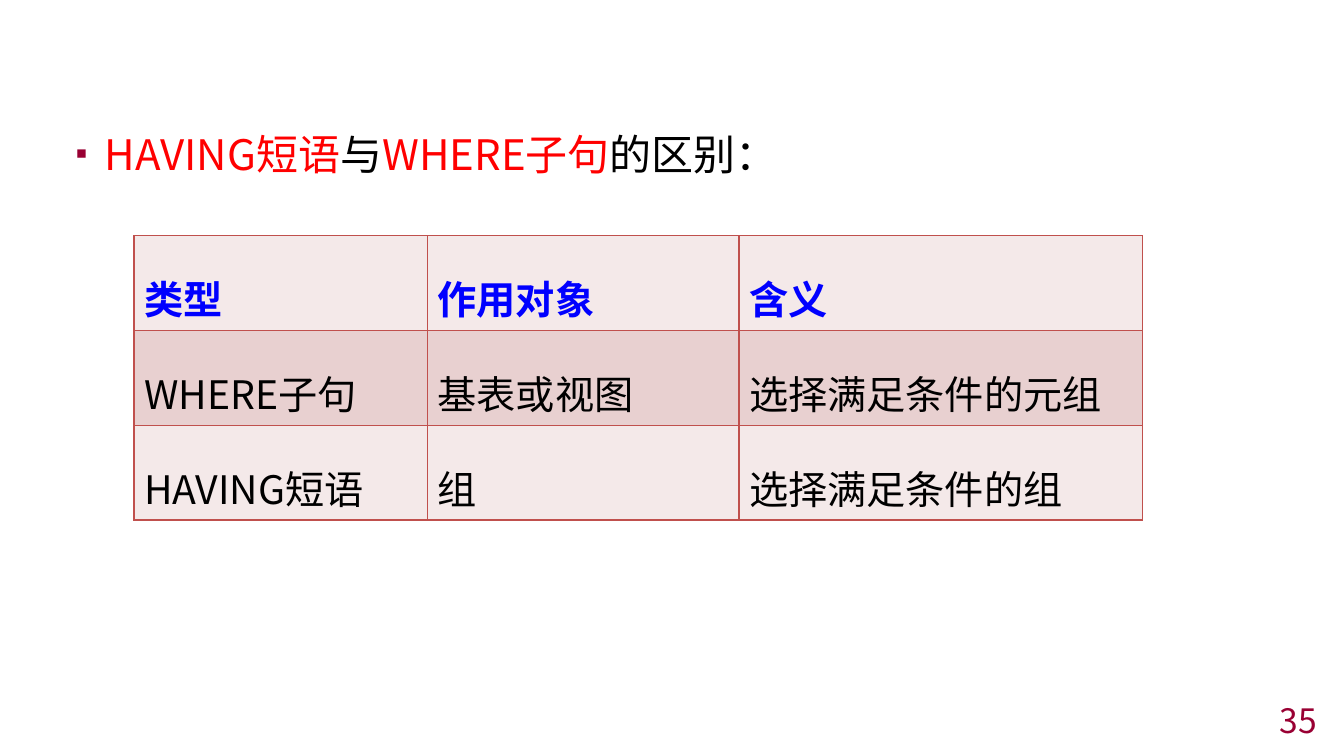
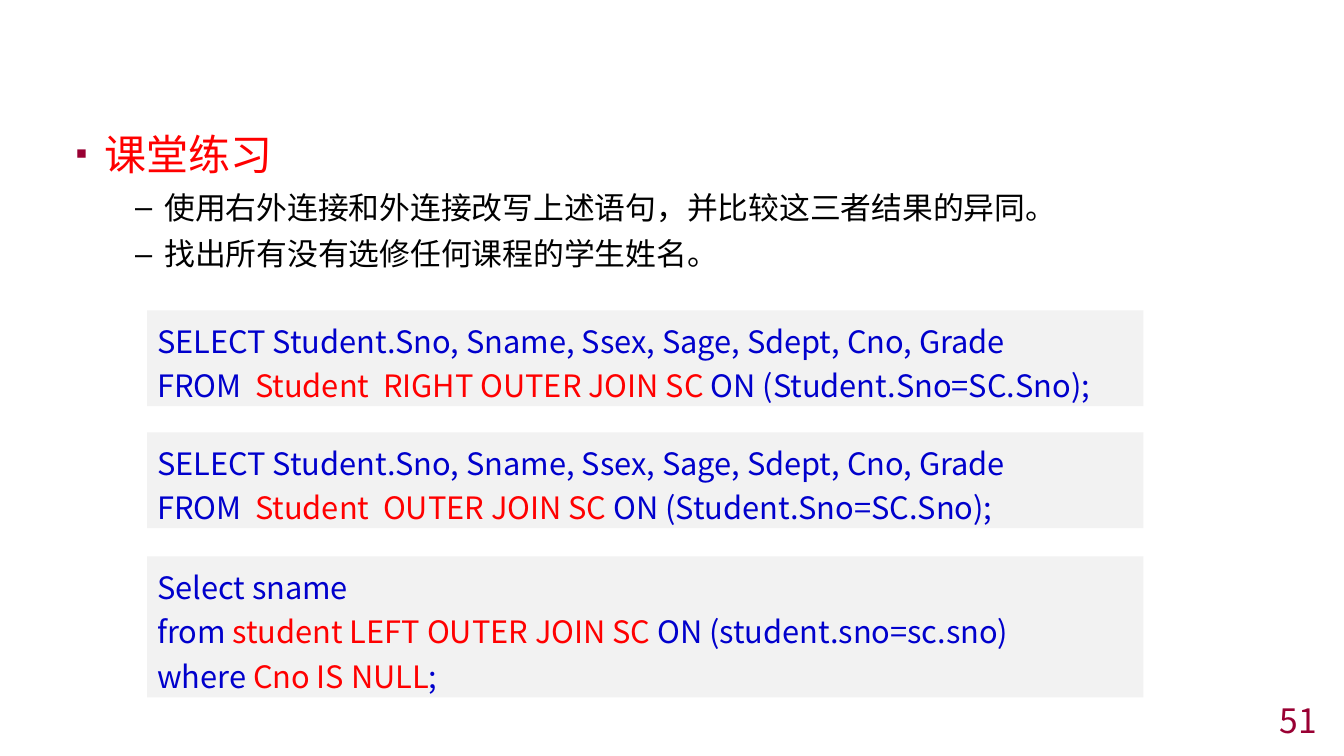
from lxml import etree
from pptx import Presentation
from pptx.dml.color import RGBColor
from pptx.enum.shapes import MSO_SHAPE
from pptx.enum.text import MSO_ANCHOR, MSO_AUTO_SIZE, PP_ALIGN
from pptx.oxml import parse_xml
from pptx.oxml.ns import nsdecls, qn
from pptx.util import Inches, Pt

# Shared style
FONT = "Noto Sans CJK SC"
BLACK, RED, MAROON = "000000", "FF0000", "990033"
HEADER_BLUE, CODE_BLUE, CODE_FILL = "0000FF", "0000CC", "F2F2F2"
ROW_FILLS, BORDER = ["F4E9E9", "E8D0D0"], "C0504D"
# Per level: left indent, size, space before, bullet XML
LEVELS = [
    (0.29, 30, 0, [f'<a:buClr {nsdecls("a")}><a:srgbClr val="{MAROON}"/></a:buClr>',
                   f'<a:buSzPct {nsdecls("a")} val="80000"/>',
                   f'<a:buChar {nsdecls("a")} char="▪"/>']),
    (0.88, 22, 4.4, [f'<a:buChar {nsdecls("a")} char="–"/>']),
]


def color(value):
    return RGBColor.from_string(value)


def write(paragraph, runs, size, bold=False):
    """Fill a paragraph with (text, colour) runs in the shared font."""
    font = paragraph.font
    font.name, font.size, font.bold = FONT, Pt(size), bold
    font.color.rgb = color(runs[0][1])
    for text, value in runs:
        run = paragraph.add_run()
        run.text = text
        run.font.name = FONT
        run.font.color.rgb = color(value)
        latin = run.font._element.find(qn("a:latin"))
        latin.addnext(parse_xml(f'<a:ea {nsdecls("a")} typeface="{FONT}"/>'))


presentation = Presentation()
presentation.slide_width, presentation.slide_height = Inches(13.33), Inches(7.5)

# Bulleted text of each slide: number, then (level, runs)
slide_texts = [
    ("35", [(0, [("HAVING短语", RED), ("与", BLACK), ("WHERE子句", RED), ("的区别：", BLACK)])]),
    ("51", [(0, [("课堂练习", RED)]),
            (1, [("使用右外连接和外连接改写上述语句，并比较这三者结果的异同。", BLACK)]),
            (1, [("找出所有没有选修任何课程的学生姓名。", BLACK)])]),
]
slides = []
for number, lines in slide_texts:
    slide = presentation.slides.add_slide(presentation.slide_layouts[1])
    slides.append(slide)
    title = slide.shapes.title._element
    title.getparent().remove(title)

    body = slide.placeholders[1]
    body.left, body.top = Inches(0.65), Inches(1.17)
    body.width, body.height = Inches(12.02), Inches(5.98)
    frame = body.text_frame
    frame.auto_size = MSO_AUTO_SIZE.NONE
    for index, (level, runs) in enumerate(lines):
        paragraph = frame.add_paragraph() if index else frame.paragraphs[0]
        indent, size, space, bullets = LEVELS[level]
        paragraph.level = level
        paragraph.line_spacing = 1.1
        paragraph.space_before = Pt(space)
        properties = paragraph._p.get_or_add_pPr()
        properties.set("marL", str(Inches(indent)))
        properties.set("indent", str(Inches(-0.29)))
        for bullet in bullets:
            properties.append(parse_xml(bullet))
        write(paragraph, runs, size)

    # Slide number
    box = slide.shapes.add_textbox(Inches(10.33), Inches(6.99), Inches(2.83), Inches(0.31))
    box.text_frame.word_wrap = True
    box.text_frame.vertical_anchor = MSO_ANCHOR.MIDDLE
    paragraph = box.text_frame.paragraphs[0]
    paragraph.alignment = PP_ALIGN.RIGHT
    write(paragraph, [(number, MAROON)], 24)

table_slide, code_slide = slides

# Comparison table
rows = [
    ["类型", "作用对象", "含义"],
    ["WHERE子句", "基表或视图", "选择满足条件的元组"],
    ["HAVING短语", "组", "选择满足条件的组"],
]
table = table_slide.shapes.add_table(
    3, 3, Inches(1.33), Inches(2.34), Inches(10), Inches(2.82)).table
for column, width in zip(table.columns, [2.91, 3.09, 4]):
    column.width = Inches(width)
for row_index, texts in enumerate(rows):
    table.rows[row_index].height = Inches(0.94)
    header = row_index == 0
    for column_index, text in enumerate(texts):
        cell = table.cell(row_index, column_index)
        paragraph = cell.text_frame.paragraphs[0]
        paragraph.line_spacing = 1.5
        write(paragraph, [(text, HEADER_BLUE if header else BLACK)], 28, header)
        properties = cell._tc.get_or_add_tcPr()
        for side in ("lnL", "lnR", "lnT", "lnB"):
            line = etree.SubElement(properties, qn(f"a:{side}"), w=str(Pt(1)))
            fill = etree.SubElement(line, qn("a:solidFill"))
            etree.SubElement(fill, qn("a:srgbClr"), val=BORDER)
        cell.fill.solid()
        cell.fill.fore_color.rgb = color(ROW_FILLS[row_index % 2])

# SQL answers: top, height, lines of runs
select_line = [("SELECT Student.Sno, Sname, Ssex, Sage, Sdept, Cno, Grade", CODE_BLUE)]
answers = [
    (3.08, 0.95, [select_line,
                  [("FROM  ", CODE_BLUE), ("Student  RIGHT OUTER JOIN SC ", RED),
                   ("ON (Student.Sno=SC.Sno);", CODE_BLUE)]]),
    (4.29, 0.95, [select_line,
                  [("FROM  ", CODE_BLUE), ("Student  OUTER JOIN SC", RED),
                   (" ON (Student.Sno=SC.Sno);", CODE_BLUE)]]),
    (5.52, 1.4, [[("Select sname", CODE_BLUE)],
                 [("from ", CODE_BLUE), ("student LEFT OUTER JOIN SC ", RED),
                  ("ON (student.sno=sc.sno)", CODE_BLUE)],
                 [("where ", CODE_BLUE), ("Cno IS NULL", RED), (";", CODE_BLUE)]]),
]
for top, height, lines in answers:
    shape = code_slide.shapes.add_shape(
        MSO_SHAPE.RECTANGLE, Inches(1.46), Inches(top), Inches(9.88), Inches(height))
    shape.shadow.inherit = False
    shape.fill.solid()
    shape.fill.fore_color.rgb = color(CODE_FILL)
    shape.line.fill.background()
    frame = shape.text_frame
    frame.word_wrap = True
    frame.vertical_anchor = MSO_ANCHOR.TOP
    for index, runs in enumerate(lines):
        paragraph = frame.add_paragraph() if index else frame.paragraphs[0]
        paragraph.alignment = PP_ALIGN.LEFT
        paragraph.line_spacing = 1.2
        write(paragraph, runs, 22)

presentation.save("out.pptx")
